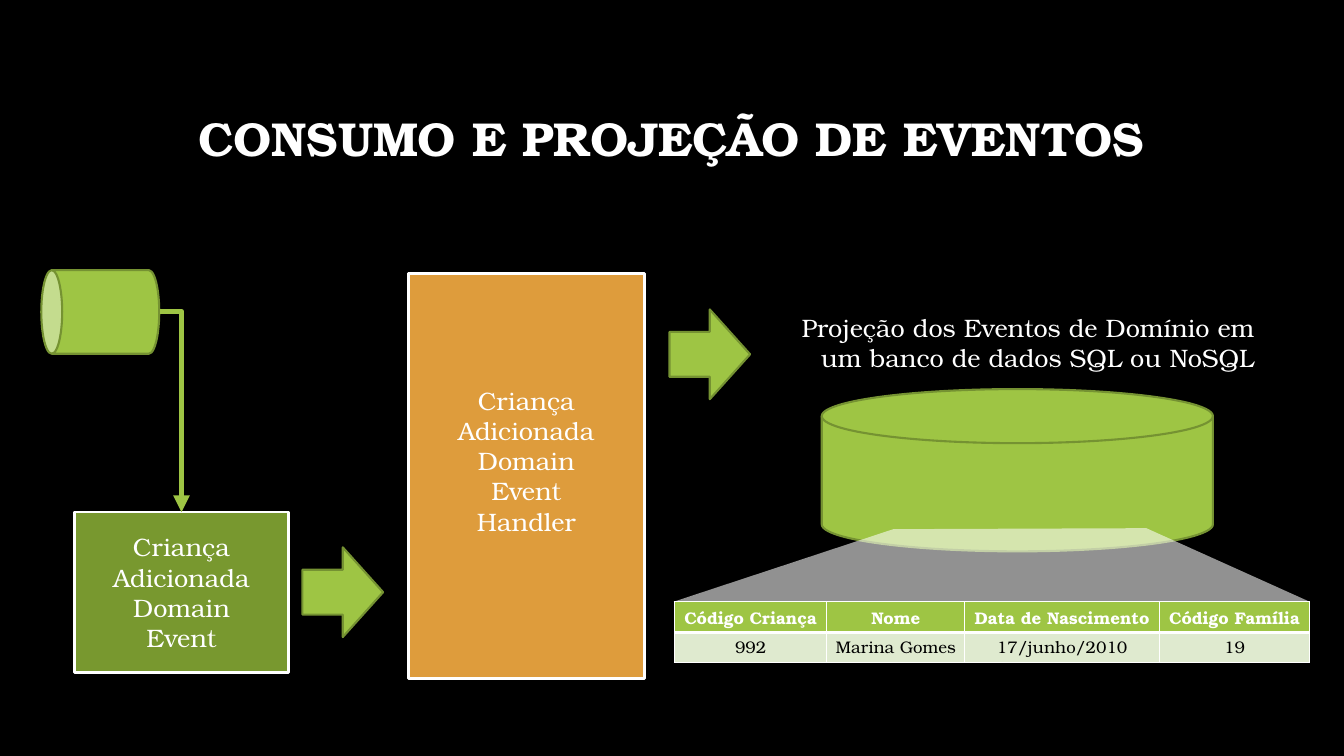
from lxml import etree
from pptx import Presentation
from pptx import util as u
from pptx.dml.color import RGBColor
from pptx.enum import shapes, text
from pptx.oxml.ns import qn

SHAPE = shapes.MSO_SHAPE
ALIGN = text.PP_ALIGN
MID = text.MSO_ANCHOR.MIDDLE
WHITE, BLACK = "FFFFFF", "000000"
LIME, OLIVE, MOSS = "9EC544", "759232", "78982F"
AMBER, PALE = "DE9C3C", "DFEACF"


def color(code):
    return RGBColor.from_string(code)


def place(item, box):
    for name, size in zip(("left", "top", "width", "height"), box):
        setattr(item, name, u.Inches(size))


class Deck:
    font = {"name": "TeX Gyre Bonum", "size": u.Pt(18), "bold": False}

    def __init__(self):
        self.file = Presentation()
        self.file.slide_width = u.Inches(13.33)
        self.file.slide_height = u.Inches(7.5)
        self.slide = self.file.slides.add_slide(self.file.slide_layouts[5])
        self.items = self.slide.shapes
        self.paint(self.slide.background, BLACK)

    def paint(self, item, code):
        item.fill.solid()
        item.fill.fore_color.rgb = color(code)

    def letter(self, frame, paras, ink=WHITE, align=ALIGN.CENTER, **style):
        frame.word_wrap = True
        for i, words in enumerate(paras):
            para = frame.add_paragraph() if i else frame.paragraphs[0]
            para.text = words
            para.alignment = align
            for run in para.runs:
                for name, value in {**self.font, **style}.items():
                    setattr(run.font, name, value)
                run.font.color.rgb = color(ink)

    def title(self, box, words):
        head = self.items.title
        place(head, box)
        frame = head.text_frame
        self.letter(frame, [words], size=u.Pt(34), bold=True)
        frame.vertical_anchor = MID
        frame.paragraphs[0].line_spacing = 0.9

    def shape(self, kind, box, fill=LIME, edge=OLIVE, width=1.5, turn=0):
        item = self.items.add_shape(kind, *map(u.Inches, box))
        item.shadow.inherit = False
        item.rotation = turn
        self.paint(item, fill)
        item.line.color.rgb = color(edge)
        item.line.width = u.Pt(width)
        return item

    def card(self, box, fill, paras, low=0.05):
        item = self.shape(SHAPE.RECTANGLE, box, fill, WHITE, 2)
        frame = item.text_frame
        frame.vertical_anchor = MID
        frame.margin_bottom = u.Inches(low)
        self.letter(frame, paras)

    def label(self, box, words):
        item = self.items.add_textbox(*map(u.Inches, box))
        self.letter(item.text_frame, [words], align=ALIGN.RIGHT)

    def elbow(self, start, end):
        wire = self.items.add_connector(
            shapes.MSO_CONNECTOR.ELBOW, *map(u.Inches, start + end))
        wire.line.color.rgb = color(LIME)
        wire.line.width = u.Pt(4)
        props = wire._element.spPr
        props.find(qn("a:prstGeom")).set("prst", "bentConnector2")
        tail = etree.SubElement(props.find(qn("a:ln")), qn("a:tailEnd"))
        tail.set("type", "triangle")
        etree.SubElement(props, qn("a:effectLst"))

    def beam(self, points, fill, alpha):
        spots = [tuple(map(u.Inches, spot)) for spot in points]
        build = self.items.build_freeform(*spots[0])
        build.add_line_segments(spots[1:], close=True)
        item = build.convert_to_shape()
        item.shadow.inherit = False
        item.line.fill.background()
        self.paint(item, fill)
        tint = item._element.spPr.find(qn("a:solidFill"))[0]
        etree.SubElement(tint, qn("a:alpha")).set("val", str(alpha * 1000))

    def border(self, cell, widths):
        props = cell._tc.get_or_add_tcPr()
        for i, (side, width) in enumerate(zip("LRTB", widths)):
            line = etree.Element(qn("a:ln" + side), w=str(u.Pt(width)))
            fill = etree.SubElement(line, qn("a:solidFill"))
            etree.SubElement(fill, qn("a:srgbClr"), val=WHITE)
            props.insert(i, line)

    def table(self, spot, cols, tall, rows):
        box = (*spot, sum(cols), tall * len(rows))
        grid = self.items.add_table(
            len(rows), len(cols), *map(u.Inches, box)).table
        for col, wide in zip(grid.columns, cols):
            col.width = u.Inches(wide)
        pad = {"margin_left": 0.07, "margin_right": 0.07,
               "margin_top": 0.03, "margin_bottom": 0.03}
        looks = [(LIME, WHITE, True, (1, 1, 1, 3)),
                 (PALE, BLACK, False, (1, 1, 3, 1))]
        for r, (row, look) in enumerate(zip(rows, looks)):
            fill, ink, bold, edges = look
            for c, words in enumerate(row):
                cell = grid.cell(r, c)
                for name, size in pad.items():
                    setattr(cell, name, u.Inches(size))
                self.letter(cell.text_frame, [words], ink,
                            size=u.Pt(12), bold=bold)
                self.paint(cell, fill)
                self.border(cell, edges)


def main():
    deck = Deck()
    deck.title((1, 0.67, 11.32, 1.45), "CONSUMO E PROJEÇÃO DE EVENTOS")
    deck.card((0.74, 5.08, 2.12, 1.59), MOSS,
              ["Criança", "Adicionada\nDomain", "Event"])
    for left, top in ((3, 5.43), (6.64, 3.07)):
        deck.shape(SHAPE.RIGHT_ARROW, (left, top, 0.8, 0.89))
    deck.shape(SHAPE.CAN, (0.58, 2.51, 0.83, 1.17), turn=270)
    deck.elbow((1.59, 3.09), (1.8, 5.08))
    deck.card((4.05, 2.71, 2.34, 4.02), AMBER,
              ["Criança\nAdicionada", "Domain\nEvent", "Handler"], low=0.35)
    deck.table((6.69, 5.97), (1.51, 1.37, 1.93, 1.49), 0.3, [
        ["Código Criança", "Nome", "Data de Nascimento", "Código Família"],
        ["992", "Marina Gomes", "17/junho/2010", "19"]])
    deck.shape(SHAPE.FLOWCHART_MAGNETIC_DISK, (8.15, 3.86, 3.88, 1.61))
    deck.beam([(8.86, 5.25), (11.37, 5.24), (12.99, 5.97), (6.68, 5.97)],
              WHITE, 57)
    deck.label((7.59, 3.05, 4.95, 0.71),
               "Projeção dos Eventos de Domínio em\n"
               "um banco de dados SQL ou NoSQL")
    deck.file.save("out.pptx")


if __name__ == "__main__":
    main()
